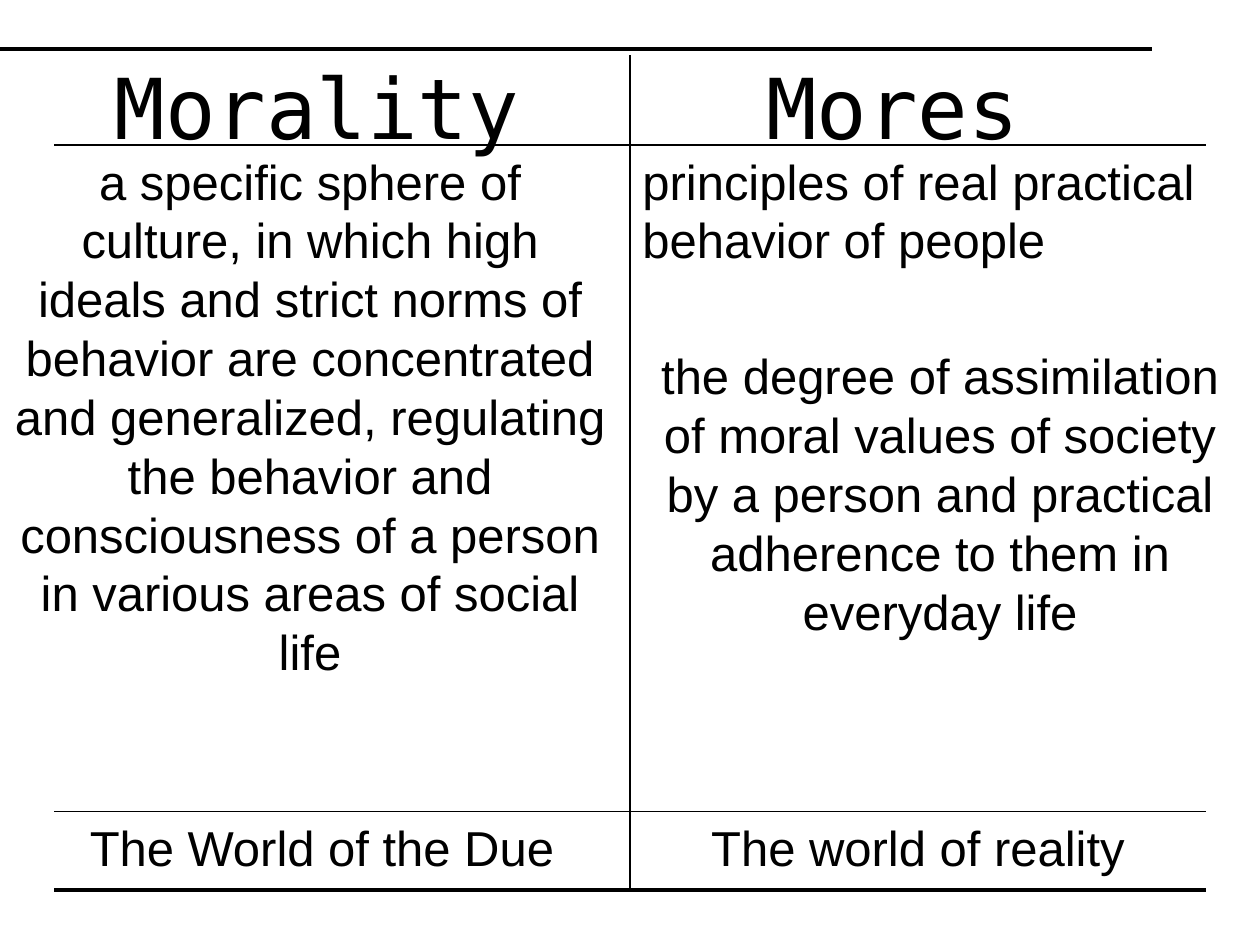
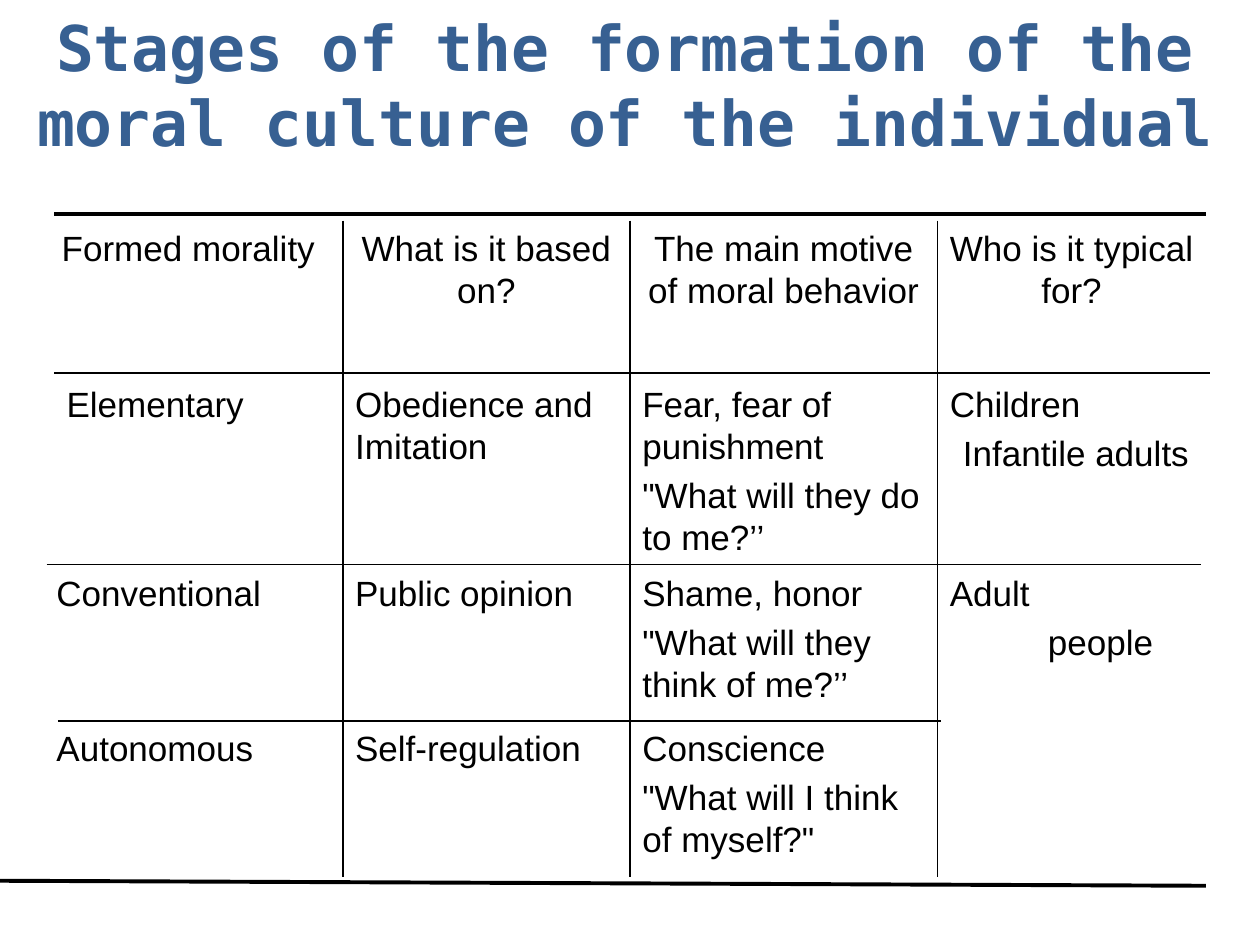
import pptx
import pptx.util
import pptx.dml.color
import pptx.enum.text
import pptx.oxml.ns
import lxml.etree

BLACK = pptx.dml.color.RGBColor(0x00, 0x00, 0x00)
BLUE = pptx.dml.color.RGBColor(0x37, 0x60, 0x92)
WIDE, HIGH = 10, 7.5
BODY, HEAD = "Arial", "DejaVu Sans Mono"
LEFT, MID, RIGHT = 0.43, WIDE / 2, 9.57
THIN, THICK = 1, 2.25
ALIGN = {"l": pptx.enum.text.PP_ALIGN.LEFT, "c": pptx.enum.text.PP_ALIGN.CENTER}

TERMS = (0.39, 1.15, 6.44, 7.06)
COLS = (0.35, 2.72, MID, 7.44, RIGHT)
ROWS = (1.75, 2.99, 4.49, 5.72, 6.96)
STARTS = (0.27, 0.43, 0.35, 0.35)
STAGES = (
    ("Formed morality", "What is it based on?",
     "The main motive of moral behavior", "Who is it typical for?"),
    ("Elementary", "Obedience and Imitation",
     "Fear, fear of punishment\n\"What will they do to me?’’", "Children\nInfantile adults"),
    ("Conventional", "Public opinion",
     "Shame, honor\n\"What will they think of me?’’", "Adult\npeople"),
    ("Autonomous", "Self-regulation",
     "Conscience\n\"What will I think of myself?\""),
)


def write(slide, area, text, size, aligns="l", font=BODY, gaps=None):
    """Add a text box between the edges in area, with one align letter per paragraph."""
    left, top, right, low = map(pptx.util.Inches, area)
    frame = slide.shapes.add_textbox(left, top, right - left, low - top).text_frame
    frame.word_wrap = True
    frame.text = text
    for at, para in enumerate(frame.paragraphs):
        para.alignment = ALIGN[aligns[min(at, len(aligns) - 1)]]
        para.space_before = pptx.util.Pt((gaps or {}).get(at, size * 0.2))
        for run in para.runs:
            run.font.size = pptx.util.Pt(size)
            run.font.name = font
            run.font.color.rgb = BLACK
    return frame


def rule(slide, start, end, width=THIN):
    """Draw a straight black line from start to end."""
    ends = [pptx.util.Inches(part) for part in start + end]
    line = slide.shapes.add_connector(pptx.enum.shapes.MSO_CONNECTOR.STRAIGHT, *ends)
    line.line.color.rgb = BLACK
    line.line.width = pptx.util.Pt(width)
    lxml.etree.SubElement(line._element.spPr, pptx.oxml.ns.qn("a:effectLst"))


def title(slide, text):
    """Add the bold blue heading across the slide."""
    frame = write(slide, (0, 0.08, 9.92, 1.25), text, 36, "c", HEAD, {0: 0})
    frame.vertical_anchor = pptx.enum.text.MSO_ANCHOR.MIDDLE
    font = frame.paragraphs[0].runs[0].font
    font.bold = True
    font.color.rgb = BLUE


def compare(slide):
    """Set morality against mores in two ruled columns."""
    top, body, foot, low = TERMS
    for left, right, name in ((LEFT, MID, "Morality "), (MID, RIGHT, "Mores ")):
        write(slide, (left, top, right, body), name, 48, "c", HEAD)
    write(slide, (0, body, 4.92, 6.2),
          "a specific sphere of culture, in which high ideals and strict norms of "
          "behavior are concentrated and generalized, regulating the behavior and "
          "consciousness of a person in various areas of social life", 28, "c")
    write(slide, (MID, body, 9.92, foot),
          "principles of real practical behavior of people\n"
          "the degree of assimilation of moral values of society by a person and "
          "practical adherence to them in everyday life", 28, "lc", gaps={1: 44})
    for left, text in ((0.27, "The World of the Due"), (MID, "The world of reality")):
        write(slide, (left, foot, left + 4.57, low), text, 28, "c")
    rule(slide, (0, top), (9.14, top), THICK)
    for level, width in ((body, THIN), (foot, THIN), (low, THICK)):
        rule(slide, (LEFT, level), (RIGHT, level), width)
    rule(slide, (MID, 0.44), (MID, low))


def stages(slide):
    """Lay out the stages of moral culture on a ruled grid."""
    title(slide, "Stages of the formation of the moral culture of the individual")
    for row, cells in enumerate(STAGES):
        for col, text in enumerate(cells):
            left = COLS[col] if col else STARTS[row]
            area, gaps = (left, ROWS[row], COLS[col + 1], ROWS[row + 1]), None
            aligns = "l" if row else "c"
            if row and col == 3:
                aligns = "lc"
                area = area[:2] + (9.64, area[3])
            if text.startswith("Adult"):
                area, gaps = area[:2] + (10.03, 7.01), {0: 60}
            write(slide, area, text, 20, aligns, gaps=gaps)
    for edge in COLS[1:-1]:
        rule(slide, (edge, ROWS[0]), (edge, ROWS[-1]))
    rule(slide, (LEFT, 1.7), (RIGHT, 1.7), THICK)
    for left, right, level in ((LEFT, 9.6, 2.96), (0.37, 9.53, 4.48), (0.46, 7.47, 5.72)):
        rule(slide, (left, level), (right, level))
    rule(slide, (-0.08, 6.99), (RIGHT, 7.03), THICK)


def main():
    """Build both slides and save them."""
    deck = pptx.Presentation()
    deck.slide_width = pptx.util.Inches(WIDE)
    deck.slide_height = pptx.util.Inches(HIGH)
    for fill in (compare, stages):
        fill(deck.slides.add_slide(deck.slide_layouts[6]))
    deck.save("out.pptx")


if __name__ == "__main__":
    main()
